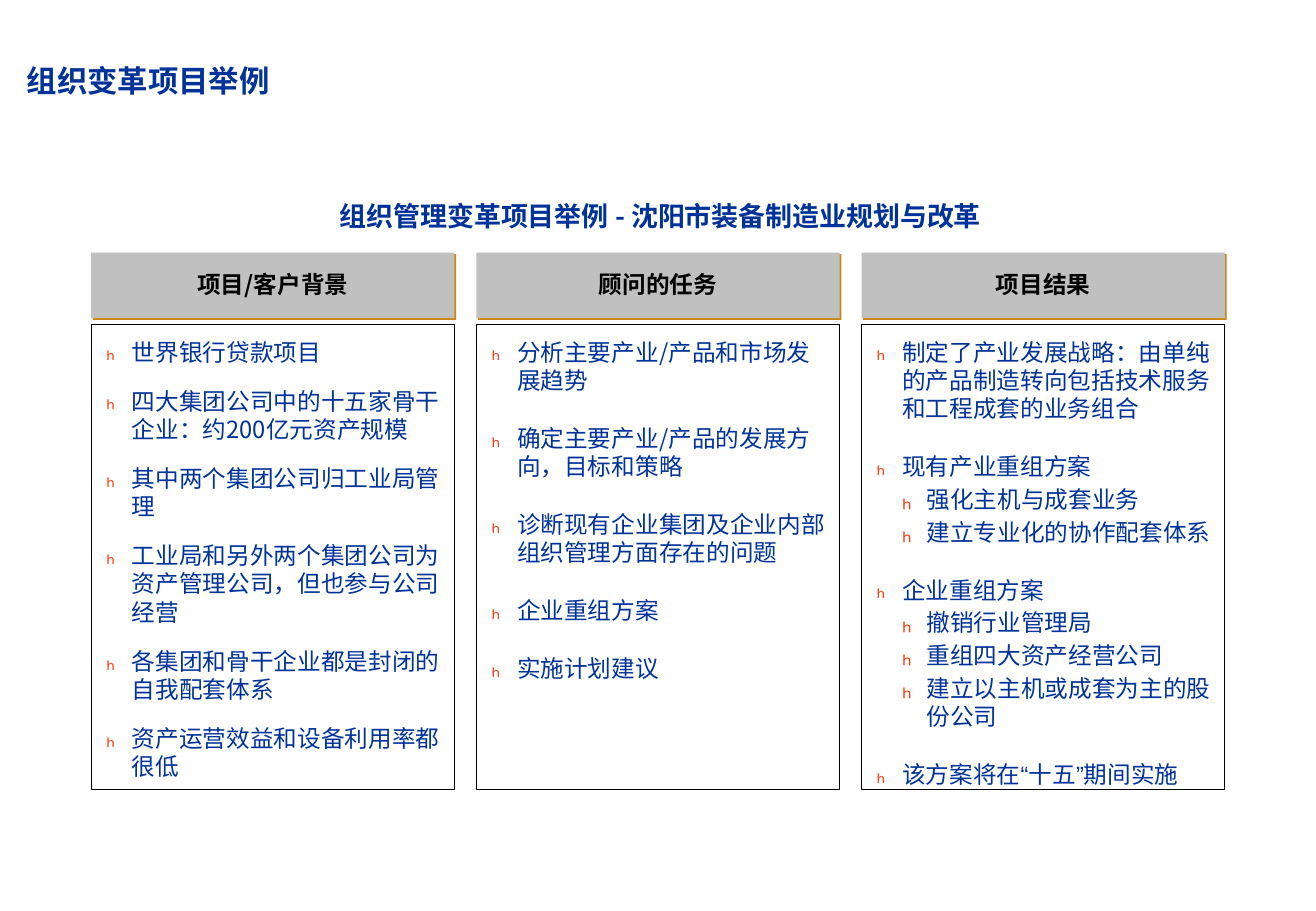
from dataclasses import dataclass
from itertools import groupby

from lxml.etree import SubElement
from pptx import Presentation
from pptx.dml.color import RGBColor
from pptx.enum.shapes import MSO_SHAPE as Shape
from pptx.enum.text import MSO_ANCHOR as Anchor, PP_ALIGN as Align
from pptx.oxml.ns import qn
from pptx.util import Inches, Pt

COLORS = {"navy": "003399", "black": "000000", "grey": "C0C0C0",
          "gold": "CC8510", "red": "FF3300"}
CJK, LATIN = "Noto Sans CJK SC", "Arial"
BULLET = "ₕ"

# Column grid, in percent of the slide's width
FIRST_COL, COL_STEP, COL_WIDTH = 6.93, 29.27, 27.61


@dataclass
class Area:
    """Place on the slide, in percent of its width and height."""
    x: float
    y: float
    w: float
    h: float


@dataclass
class Style:
    size: float
    color: str
    bold: bool = False
    align: Align = Align.LEFT
    anchor: Anchor = Anchor.TOP


@dataclass
class Item:
    text: str
    level: int = 1


@dataclass
class Column:
    heading: str
    gap: float
    items: list[Item]


TITLE = Style(18, "navy", True, anchor=Anchor.BOTTOM)
SUBTITLE = Style(16, "navy", True, Align.CENTER, Anchor.BOTTOM)
HEADING = Style(14, "black", True, Align.CENTER, Anchor.MIDDLE)
BODY = Style(14, "navy")

COLUMNS = [
    Column("项目/客户背景", 12.2, [
        Item("世界银行贷款项目"),
        Item("四大集团公司中的十五家骨干企业：约200亿元资产规模"),
        Item("其中两个集团公司归工业局管理"),
        Item("工业局和另外两个集团公司为资产管理公司，但也参与公司经营"),
        Item("各集团和骨干企业都是封闭的自我配套体系"),
        Item("资产运营效益和设备利用率都很低"),
    ]),
    Column("顾问的任务", 17.5, [
        Item("分析主要产业/产品和市场发展趋势"),
        Item("确定主要产业/产品的发展方向，目标和策略"),
        Item("诊断现有企业集团及企业内部组织管理方面存在的问题"),
        Item("企业重组方案"),
        Item("实施计划建议"),
    ]),
    Column("项目结果", 17.5, [
        Item("制定了产业发展战略：由单纯的产品制造转向包括技术服务和工程成套的业务组合"),
        Item("现有产业重组方案"),
        Item("强化主机与成套业务", 2),
        Item("建立专业化的协作配套体系", 2),
        Item("企业重组方案"),
        Item("撤销行业管理局", 2),
        Item("重组四大资产经营公司", 2),
        Item("建立以主机或成套为主的股份公司", 2),
        Item("该方案将在“十五”期间实施"),
    ]),
]

prs = Presentation()
prs.slide_width, prs.slide_height = Inches(10.83), Inches(7.5)
s = prs.slides.add_slide(prs.slide_layouts[6])


def rgb(name: str) -> RGBColor:
    return RGBColor.from_string(COLORS[name])


def place(a: Area) -> list[int]:
    w, h = prs.slide_width, prs.slide_height
    return [round(share * side / 100)
            for share, side in ((a.x, w), (a.y, h), (a.w, w), (a.h, h))]


def add_runs(p, text: str, style: Style) -> None:
    """Write the text, with curly quotes in the Latin font."""
    for is_quote, chars in groupby(text, lambda ch: ch in "“”"):
        r = p.add_run()
        r.text = "".join(chars)
        face = LATIN if is_quote else CJK
        for name, value in {"size": Pt(style.size), "bold": style.bold,
                            "name": face}.items():
            setattr(r.font, name, value)
        r.font.color.rgb = rgb(style.color)
        SubElement(r.font._element, qn("a:ea"), typeface=face)


def add_bullet(p, level: int) -> None:
    pPr = p._p.get_or_add_pPr()
    indent, hang = (0.21, 0.21) if level == 1 else (0.41, 0.2)
    pPr.set("marL", str(Inches(indent)))
    pPr.set("indent", str(-Inches(hang)))
    SubElement(SubElement(pPr, qn("a:buClr")), qn("a:srgbClr"), val=COLORS["red"])
    SubElement(pPr, qn("a:buSzPct"), val="90000" if level == 1 else "100000")
    SubElement(pPr, qn("a:buFont"), typeface=LATIN)
    SubElement(pPr, qn("a:buChar"), char=BULLET)


def add_text(area: Area, style: Style, items: list[Item],
             gap: float | None = None) -> None:
    """Add a text box; a gap before paragraphs makes it a bulleted list."""
    tf = s.shapes.add_textbox(*place(area)).text_frame
    for name, value in {"word_wrap": True, "vertical_anchor": style.anchor,
                        "margin_left": 0, "margin_right": 0,
                        "margin_top": 0, "margin_bottom": 0}.items():
        setattr(tf, name, value)
    for i, item in enumerate(items):
        p = tf.add_paragraph() if i else tf.paragraphs[0]
        p.alignment = style.align
        p.line_spacing = Pt(style.size * 1.2)
        if gap is not None:
            p.level = item.level
            p.space_before = Pt((gap if item.level == 1 else 2.6) if i else 0)
            add_bullet(p, item.level)
        add_runs(p, item.text, style)


def add_panel(area: Area, fill: str | None = None, line: str | None = None):
    sp = s.shapes.add_shape(Shape.RECTANGLE, *place(area))
    sp.shadow.inherit = False
    if fill:
        sp.fill.solid()
        sp.fill.fore_color.rgb = rgb(fill)
    else:
        sp.fill.background()
    if line:
        sp.line.color.rgb = rgb(line)
        sp.line.width = Pt(0.5)
    else:
        sp.line.fill.background()
    return sp


def add_gold_shadow(sp) -> None:
    effects = sp._element.spPr.find(qn("a:effectLst"))
    shadow = SubElement(effects, qn("a:outerShdw"), blurRad="0",
                        dist=str(Pt(1.4)), dir=str(45 * 60000),
                        algn="tl", rotWithShape="0")
    SubElement(shadow, qn("a:srgbClr"), val=COLORS["gold"])


def add_column(index: int, col: Column) -> None:
    x = FIRST_COL + index * COL_STEP
    add_text(Area(x + 1.15, 37.05, 25.8, 49), BODY, col.items, col.gap)
    add_gold_shadow(add_panel(Area(x, 27.73, COL_WIDTH, 7.2), fill="grey"))
    add_text(Area(x + 2.03, 29.65, 23.55, 3.07), HEADING, [Item(col.heading)])
    add_panel(Area(x, 35.6, COL_WIDTH, 51.07), line="black")


add_text(Area(7.48, 16.5, 84.95, 8.93), SUBTITLE,
         [Item(" 组织管理变革项目举例 - 沈阳市装备制造业规划与改革")])
for index, col in enumerate(COLUMNS):
    add_column(index, col)
add_text(Area(2.03, 2.8, 89.66, 8), TITLE, [Item("组织变革项目举例")])

prs.save("out.pptx")
